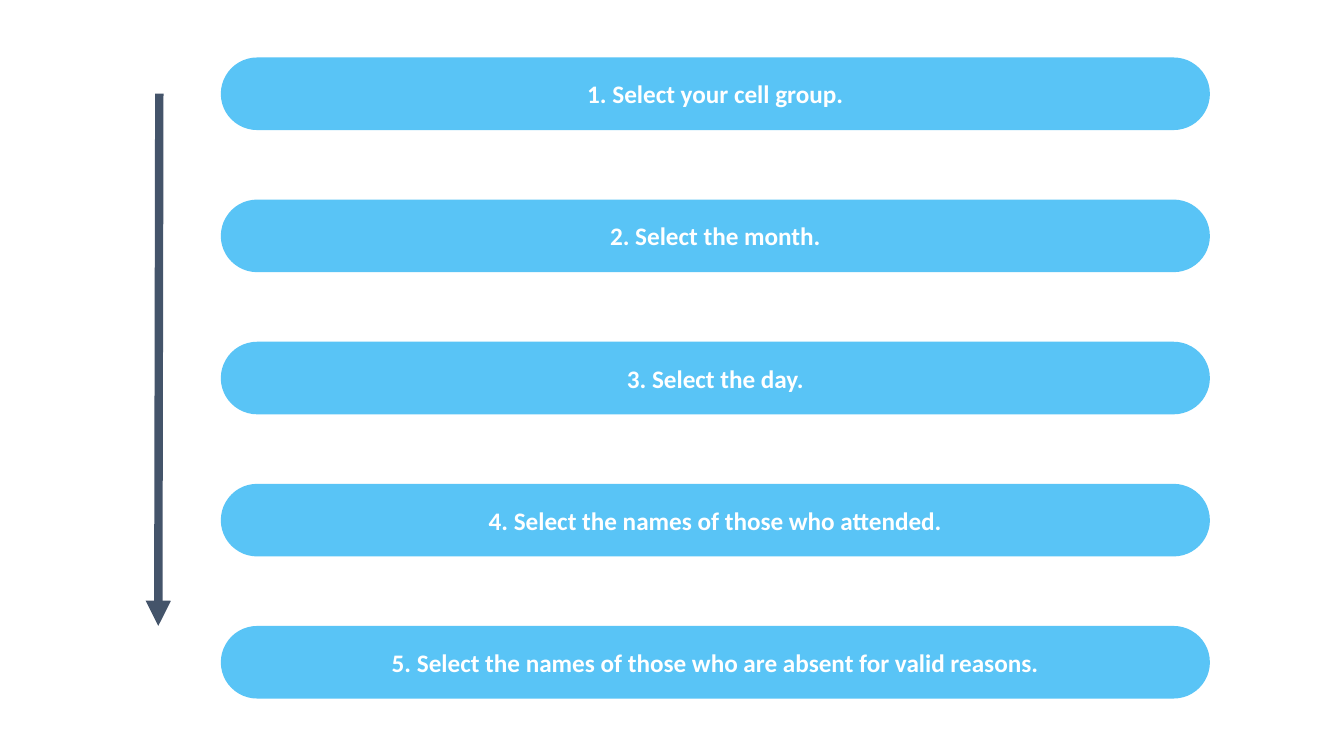
from dataclasses import dataclass

from lxml import etree
from pptx import Presentation, util as u
from pptx.dml.color import RGBColor
from pptx.enum import shapes, text
from pptx.oxml import ns
from pptx.slide import Slide


@dataclass(frozen=True)
class Theme:
    bar: RGBColor = RGBColor(0x59, 0xC4, 0xF6)
    arrow: RGBColor = RGBColor(0x44, 0x54, 0x6A)
    ink: RGBColor = RGBColor(0xFF, 0xFF, 0xFF)
    font: str = "Calibri"
    size: u.Pt = u.Pt(18)
    line: u.Pt = u.Pt(6)


@dataclass(frozen=True)
class Grid:
    """One column of equal rows, in inches."""
    left: float = 2.19
    top: float = 0.57
    width: float = 9.81
    height: float = 0.72
    pitch: float = 1.41

    def row(self, index: int) -> float:
        return self.top + index * self.pitch


@dataclass(frozen=True)
class Step:
    row: int
    label: str


THEME = Theme()
GRID = Grid()
LABELS = (
    "Select your cell group.",
    "Select the month.",
    "Select the day.",
    "Select the names of those who attended.",
    "Select the names of those who are absent for valid reasons.",
)
STEPS = [Step(row, f"{row + 1}. {label}") for row, label in enumerate(LABELS)]


def draw_step(slide: Slide, step: Step) -> None:
    bar = slide.shapes.add_shape(
        shapes.MSO_SHAPE.ROUNDED_RECTANGLE,
        u.Inches(GRID.left), u.Inches(GRID.row(step.row)),
        u.Inches(GRID.width), u.Inches(GRID.height))
    bar.adjustments[0] = 0.5
    bar.shadow.inherit = False
    bar.fill.solid()
    bar.fill.fore_color.rgb = THEME.bar
    bar.line.fill.background()
    frame = bar.text_frame
    frame.vertical_anchor = text.MSO_ANCHOR.MIDDLE
    para = frame.paragraphs[0]
    para.text = step.label
    para.alignment = text.PP_ALIGN.CENTER
    font = para.font
    font.name, font.size, font.bold = THEME.font, THEME.size, True
    font.color.rgb = THEME.ink


def draw_arrow(slide: Slide) -> None:
    """Point from the middle of the first row to the top of the last."""
    start = GRID.row(0) + GRID.height / 2
    end = GRID.row(len(STEPS) - 1)
    arrow = slide.shapes.add_connector(
        shapes.MSO_CONNECTOR.STRAIGHT,
        u.Inches(1.58), u.Inches(start), u.Inches(1.57), u.Inches(end))
    arrow.line.color.rgb = THEME.arrow
    arrow.line.width = THEME.line
    props = arrow.line._get_or_add_ln()
    etree.SubElement(props, ns.qn("a:tailEnd"), type="triangle")
    etree.SubElement(arrow._element.spPr, ns.qn("a:effectLst"))


def main() -> None:
    deck = Presentation()
    deck.slide_width, deck.slide_height = u.Inches(13.33), u.Inches(7.5)
    slide = deck.slides.add_slide(deck.slide_layouts.get_by_name("Blank"))
    draw_arrow(slide)
    for step in STEPS:
        draw_step(slide, step)
    deck.save("out.pptx")


if __name__ == "__main__":
    main()
